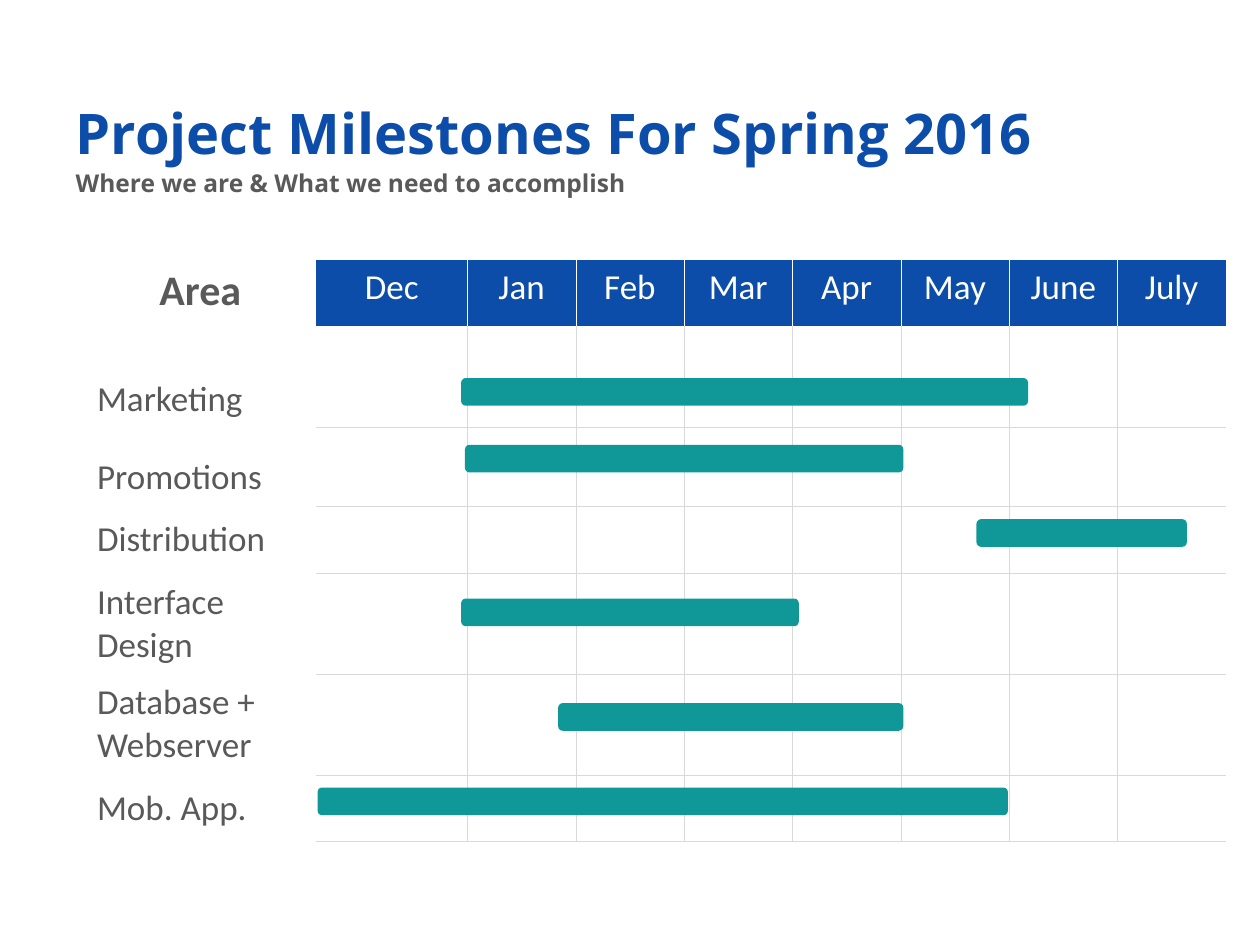
from lxml.etree import SubElement
from pptx import Presentation
from pptx.dml.color import RGBColor
from pptx.enum.shapes import MSO_SHAPE as Shape
from pptx.enum.text import MSO_ANCHOR as Anchor, MSO_AUTO_SIZE as Fit, PP_ALIGN as Align
from pptx.oxml import parse_xml
from pptx.oxml.ns import nsdecls, qn
from pptx.util import Inches, Pt

BLUE = RGBColor(0x0C, 0x4D, 0xA9)
TEAL = RGBColor(0x10, 0x98, 0x99)
GRAY = RGBColor(0x59, 0x59, 0x59)
RULE = RGBColor(0xD9, 0xD9, 0xD9)
WHITE = RGBColor(0xFF, 0xFF, 0xFF)

MONTHS = ["Dec", "Jan", "Feb", "Mar", "Apr", "May", "June", "July"]
WIDTHS = [1.84, 1.2] + [0.86] * 7

# Area, row height, anchor, line spacing
AREAS = [
    ("Marketing", 0.8, Anchor.BOTTOM, 1),
    ("Promotions", 0.63, Anchor.MIDDLE, 1.5),
    ("Distribution", 0.53, Anchor.MIDDLE, 1),
    ("Interface Design", 0.8, Anchor.MIDDLE, 1),
    ("Database + Webserver", 0.8, Anchor.MIDDLE, 1),
    ("Mob. App.", 0.53, Anchor.MIDDLE, 1),
]

# Left, top, width of each bar
BARS = [
    (3.66, 3, 4.5),
    (3.69, 3.53, 3.48),
    (7.75, 4.12, 1.67),
    (3.66, 4.75, 2.68),
    (4.43, 5.58, 2.74),
    (2.52, 6.25, 5.48),
]


class Plan:
    head_font = "Open Sans"
    text_font = "Calibri"

    def __init__(self, slide):
        self.slide = slide

    def style(self, para, font, size, color, bold=False):
        face = para.runs[0].font
        face.name, face.size, face.bold = font, Pt(size), bold
        face.color.rgb = color

    def heading(self, idx, text, box, size, color, anchor):
        holder = self.slide.placeholders[idx]
        holder.left, holder.top, holder.width, holder.height = map(Inches, box)
        frame = holder.text_frame
        frame.text = text
        frame.word_wrap, frame.auto_size = True, Fit.NONE
        frame.vertical_anchor = anchor
        para = frame.paragraphs[0]
        props = para._p.get_or_add_pPr()
        props.set("marL", "0")
        props.set("indent", "0")
        SubElement(props, qn("a:buNone"))
        para.alignment = Align.LEFT
        para.space_before = Pt(0)
        self.style(para, self.head_font, size, color, True)

    def grid(self, left, top, widths, heights):
        table = self.slide.shapes.add_table(
            len(heights), len(widths), Inches(left), Inches(top),
            Inches(sum(widths)), Inches(sum(heights))).table
        table.first_row = table.horz_banding = False
        for col, width in zip(table.columns, widths):
            col.width = Inches(width)
        for row, height in zip(table.rows, heights):
            row.height = Inches(height)
        return table

    def paint(self, cell, fill=None, **edges):
        """Fill a cell and rule the edges named L, R, T or B."""
        if fill is None:
            cell.fill.background()
        else:
            cell.fill.solid()
            cell.fill.fore_color.rgb = fill
        props = cell._tc.get_or_add_tcPr()
        for spot, side in enumerate("LRTB"):
            color = edges.get(side)
            ink = (f'<a:solidFill><a:srgbClr val="{color}"/></a:solidFill>'
                   if color is not None else "<a:noFill/>")
            props.insert(spot, parse_xml(
                f'<a:ln{side} {nsdecls("a")} w="{Pt(0.25)}">{ink}</a:ln{side}>'))

    def label(self, cell, text, size, color, bold=False, align=Align.LEFT,
              anchor=Anchor.TOP, spacing=1):
        cell.text_frame.text = text
        cell.vertical_anchor = anchor
        para = cell.text_frame.paragraphs[0]
        para.alignment, para.line_spacing = align, spacing
        self.style(para, self.text_font, size, color, bold)

    def bar(self, left, top, width, height=0.22):
        shape = self.slide.shapes.add_shape(
            Shape.ROUNDED_RECTANGLE, *map(Inches, (left, top, width, height)))
        shape.adjustments[0] = 0.167
        shape.shadow.inherit = False
        shape.fill.solid()
        shape.fill.fore_color.rgb = TEAL
        shape.line.fill.background()


def main():
    deck = Presentation()
    deck.slide_width, deck.slide_height = Inches(10), Inches(7.5)
    plan = Plan(deck.slides.add_slide(deck.slide_layouts[1]))

    # Title and subtitle
    plan.heading(0, "Project Milestones For Spring 2016",
                 (0.5, 0.42, 9, 1.25), 32, BLUE, Anchor.MIDDLE)
    plan.heading(1, "Where we are & What we need to accomplish",
                 (0.5, 1.28, 5.5, 0.47), 14, GRAY, Anchor.TOP)

    # Month header
    table = plan.grid(0.67, 2.06, WIDTHS, [0.53] + [area[1] for area in AREAS])
    plan.paint(table.cell(0, 0))
    plan.label(table.cell(0, 0), "Area", 24, GRAY, True, Align.CENTER)
    last = len(MONTHS)
    for col, month in enumerate(MONTHS, 1):
        cell = table.cell(0, col)
        plan.paint(cell, BLUE, T=WHITE, L=WHITE if col > 1 else None,
                   R=WHITE if col < last else None)
        plan.label(cell, month, 20, WHITE, align=Align.CENTER)

    # Area rows
    for row, (name, _, anchor, spacing) in enumerate(AREAS, 1):
        plan.paint(table.cell(row, 0))
        plan.label(table.cell(row, 0), name, 20, GRAY, anchor=anchor, spacing=spacing)
        for col in range(1, last + 1):
            plan.paint(table.cell(row, col), B=RULE,
                       T=RULE if row > 1 else None,
                       L=RULE if col > 1 else None,
                       R=RULE if col < last else None)

    # Milestone bars
    for place in BARS:
        plan.bar(*place)

    deck.save("out.pptx")


if __name__ == "__main__":
    main()
